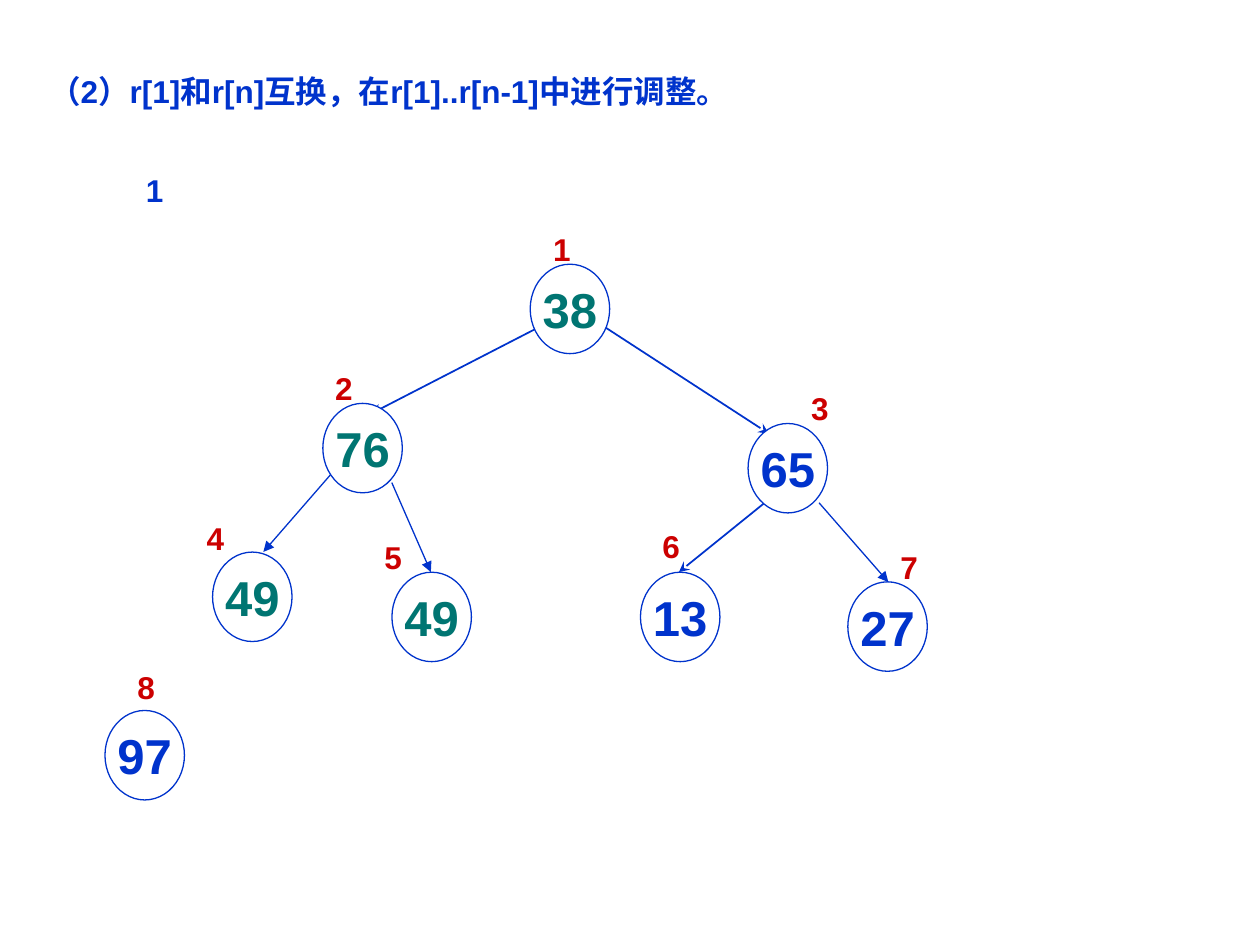
from lxml.etree import SubElement
from pptx import Presentation
from pptx.dml.color import RGBColor
from pptx.enum.shapes import MSO_CONNECTOR, MSO_SHAPE
from pptx.enum.text import MSO_ANCHOR as ANCHOR, PP_ALIGN as ALIGN
from pptx.oxml.ns import qn
from pptx.util import Pt

BLUE, RED, TEAL, WHITE = "0033CC", "CC0000", "007572", "FFFFFF"
NODE_W, NODE_H = 45.4, 51.1
LABEL_W, LABEL_H = 24.5, 28.8

# value, colour, node position, index label position
NODES = [
    ("38", TEAL, (243, 23), (249, 0)),
    ("76", TEAL, (124.5, 102.5), (124.5, 79.5)),
    ("65", BLUE, (367.5, 114), (396.5, 91)),
    ("49", TEAL, (61.5, 187.5), (51, 165)),
    ("49", TEAL, (164, 199), (152.5, 176)),
    ("13", BLUE, (306, 199), (311.5, 169.5)),
    ("27", BLUE, (424.5, 204.5), (447.5, 181.5)),
    ("97", BLUE, (0, 278), (11.5, 250)),
]
EDGES = [
    ((251.8, 57), (152.4, 108.2), "stealth", 1),
    ((377, 159.3), (328, 198.9), "stealth", 1),
    ((282.7, 57), (379.2, 119.7), "stealth", 1),
    ((163.9, 147.8), (186.2, 198.9), "triangle", 0.75),
    ((130, 142), (90.5, 187.4), "triangle", 0.75),
    ((408, 159.3), (447.6, 204.6), "triangle", 0.75),
]


def color(hex_string):
    """Turn a hex string into a colour."""
    return RGBColor.from_string(hex_string)


def write(sp, text, size=18, fill=BLUE, align=ALIGN.LEFT, anchor=ANCHOR.TOP, wrap=False):
    """Put one bold formatted paragraph into a shape."""
    tf = sp.text_frame
    tf.word_wrap, tf.vertical_anchor = wrap, anchor
    p = tf.paragraphs[0]
    p.alignment = align
    r = p.add_run()
    r.text = text
    r.font.name, r.font.size, r.font.bold = "Arial", Pt(size), True
    r.font.color.rgb = color(fill)


def add_label(s, text, left, top, width=LABEL_W, **fmt):
    """Add a one-line text box."""
    sp = s.shapes.add_textbox(Pt(left), Pt(top), Pt(width), Pt(LABEL_H))
    write(sp, text, **fmt)


def add_node(s, value, fill, left, top):
    """Add a tree node with its value."""
    sp = s.shapes.add_shape(MSO_SHAPE.OVAL, Pt(left), Pt(top), Pt(NODE_W), Pt(NODE_H))
    sp.shadow.inherit = False
    sp.fill.solid()
    sp.fill.fore_color.rgb = color(WHITE)
    sp.line.color.rgb, sp.line.width = color(BLUE), Pt(0.75)
    write(sp, value, size=28, fill=fill, align=ALIGN.CENTER, anchor=ANCHOR.MIDDLE)


def add_edge(s, start, end, head, width):
    """Add an arrow from a parent to a child."""
    line = s.shapes.add_connector(MSO_CONNECTOR.STRAIGHT, *map(Pt, (*start, *end)))
    line.line.color.rgb, line.line.width = color(BLUE), Pt(width)
    SubElement(line.line._get_or_add_ln(), qn("a:tailEnd"), type=head)
    SubElement(line._element.spPr, qn("a:effectLst"))


def add_heading(s, left, top, width):
    """Place the step title and the number under it."""
    title = s.shapes.title
    title.left, title.top, title.width, title.height = map(Pt, (left, top, width, LABEL_H))
    write(title, "（2）r[1]和r[n]互换，在r[1]..r[n-1]中进行调整。")
    add_label(s, "1", left + 55.4, top + 56.9, 108, wrap=True)


def add_tree(s, left, top):
    """Draw the heap with its edges, index labels and nodes."""
    def shift(point):
        return left + point[0], top + point[1]

    for start, end, head, width in EDGES:
        add_edge(s, shift(start), shift(end), head, width)
    for index, (_, _, _, spot) in enumerate(NODES, 1):
        add_label(s, str(index), *shift(spot), fill=RED)
    for value, fill, spot, _ in NODES:
        add_node(s, value, fill, *shift(spot))


def main():
    """Build and save the slide."""
    prs = Presentation()
    prs.slide_width, prs.slide_height = Pt(720), Pt(540)
    s = prs.slides.add_slide(prs.slide_layouts[5])
    add_heading(s, 20.9, 37.4, 437)
    add_tree(s, 60, 128)
    prs.save("out.pptx")


if __name__ == "__main__":
    main()
